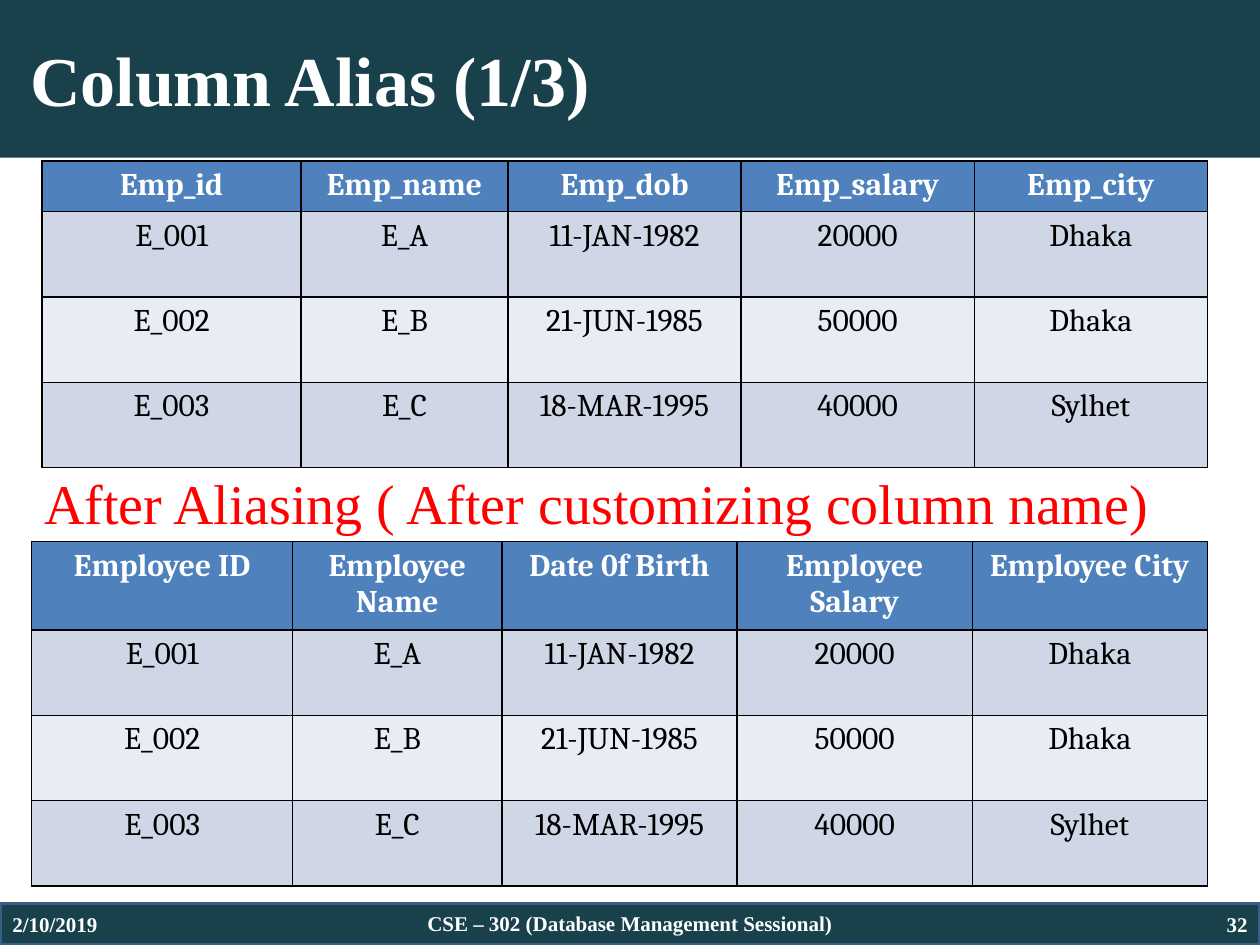
from dataclasses import dataclass

from lxml import etree
from pptx import Presentation
from pptx import util as u
from pptx.dml.color import RGBColor
from pptx.enum import shapes, text
from pptx.oxml.ns import qn


@dataclass(frozen=True)
class Theme:
    bar: str = "18414C"
    bar_line: str = "395E89"
    white: str = "FFFFFF"
    black: str = "000000"
    accent: str = "FF0000"
    header: str = "4F81BD"
    bands: tuple = ("CFD7E7", "E8ECF4")
    serif: str = "Times New Roman"
    table_font: str = "Cambria"
    title_size: int = 40
    caption_size: int = 32
    table_size: int = 18
    footer_size: int = 12


class SlideBuilder:
    def __init__(self, page, theme):
        self.page = page
        self.theme = theme

    def paint(self, target, color):
        target.fill.solid()
        target.fill.fore_color.rgb = RGBColor.from_string(color)

    def add_words(self, frame, words, size, color, bold=True, align="LEFT", name=None):
        para = frame.paragraphs[0]
        para.alignment = getattr(text.PP_ALIGN, align)
        span = para.add_run()
        span.text = words
        formats = {"size": u.Pt(size), "bold": bold, "name": name or self.theme.serif}
        for key, value in formats.items():
            setattr(span.font, key, value)
        span.font.color.rgb = RGBColor.from_string(color)

    def bar(self, left, top, width, height):
        box = self.page.shapes.add_shape(
            shapes.MSO_SHAPE.RECTANGLE, *map(u.Cm, (left, top, width, height)))
        box.shadow.inherit = False
        self.paint(box, self.theme.bar)
        box.line.color.rgb = RGBColor.from_string(self.theme.bar_line)
        box.line.width = u.Pt(2)

    def title(self, words, left, top, width, height):
        box = self.page.shapes.title
        places = {"left": left, "top": top, "width": width, "height": height}
        for key, value in places.items():
            setattr(box, key, u.Cm(value))
        self.paint(box, self.theme.bar)
        formats = {"vertical_anchor": text.MSO_ANCHOR.MIDDLE,
                   "auto_size": text.MSO_AUTO_SIZE.NONE,
                   "margin_left": u.Cm(0.61)}
        for key, value in formats.items():
            setattr(box.text_frame, key, value)
        self.add_words(box.text_frame, words, self.theme.title_size, self.theme.white)

    def label(self, words, left, top, width, height, anchor="MIDDLE", **style):
        box = self.page.shapes.add_textbox(*map(u.Cm, (left, top, width, height)))
        box.text_frame.word_wrap = True
        box.text_frame.vertical_anchor = getattr(text.MSO_ANCHOR, anchor)
        self.add_words(box.text_frame, words, **style)

    def border(self, cell):
        properties = cell._tc.get_or_add_tcPr()
        for side in ("a:lnL", "a:lnR", "a:lnT", "a:lnB"):
            line = etree.SubElement(properties, qn(side), w=str(u.Pt(1)))
            fill = etree.SubElement(line, qn("a:solidFill"))
            etree.SubElement(fill, qn("a:srgbClr"), val=self.theme.black)

    def table(self, rows, left, top, widths, heights):
        theme = self.theme
        grid = self.page.shapes.add_table(
            len(rows), len(widths),
            *map(u.Cm, (left, top, sum(widths), sum(heights)))).table
        for column, width in zip(grid.columns, widths):
            column.width = u.Cm(width)
        for index, (row, height, values) in enumerate(zip(grid.rows, heights, rows)):
            row.height = u.Cm(height)
            is_header = index == 0
            fill = theme.header if is_header else theme.bands[(index - 1) % 2]
            color = theme.white if is_header else theme.black
            for cell, value in zip(row.cells, values):
                self.border(cell)
                self.paint(cell, fill)
                self.add_words(cell.text_frame, value, theme.table_size, color,
                               is_header, "CENTER", theme.table_font)


def main():
    theme = Theme()
    deck = Presentation()
    deck.slide_width, deck.slide_height = u.Cm(25.4), u.Cm(19.05)
    page = deck.slides.add_slide(deck.slide_layouts[5])
    builder = SlideBuilder(page, theme)

    builder.bar(0, 18.21, 25.4, 0.84)
    builder.title("Column Alias (1/3)", 0, 0, 25.4, 3.18)

    footer = {"size": theme.footer_size, "color": theme.white}
    builder.label("32", 19.48, 18.21, 5.92, 0.84, align="RIGHT", **footer)
    builder.label("2/10/2019", 0, 18.21, 5.92, 0.84, **footer)
    builder.label("CSE – 302 (Database Management Sessional)",
                  7.2, 18.21, 11, 0.81, align="CENTER", **footer)

    employees = [
        ("E_001", "E_A", "11-JAN-1982", "20000", "Dhaka"),
        ("E_002", "E_B", "21-JUN-1985", "50000", "Dhaka"),
        ("E_003", "E_C", "18-MAR-1995", "40000", "Sylhet"),
    ]
    columns = ("Emp_id", "Emp_name", "Emp_dob", "Emp_salary", "Emp_city")
    aliases = ("Employee ID", "Employee Name", "Date 0f Birth",
               "Employee Salary", "Employee City")
    row_height = 1.72
    builder.table([columns] + employees, 0.85, 3.25,
                  [5.22, 4.17] + [4.7] * 3, [0.99] + [row_height] * 3)
    builder.table([aliases] + employees, 0.64, 10.92,
                  [5.26, 4.22] + [4.74] * 3, [row_height] * 4)

    builder.label("After Aliasing ( After customizing column name)",
                  0.64, 9.32, 24.55, 1.62, anchor="TOP",
                  size=theme.caption_size, color=theme.accent, bold=False)
    deck.save("out.pptx")


if __name__ == "__main__":
    main()
